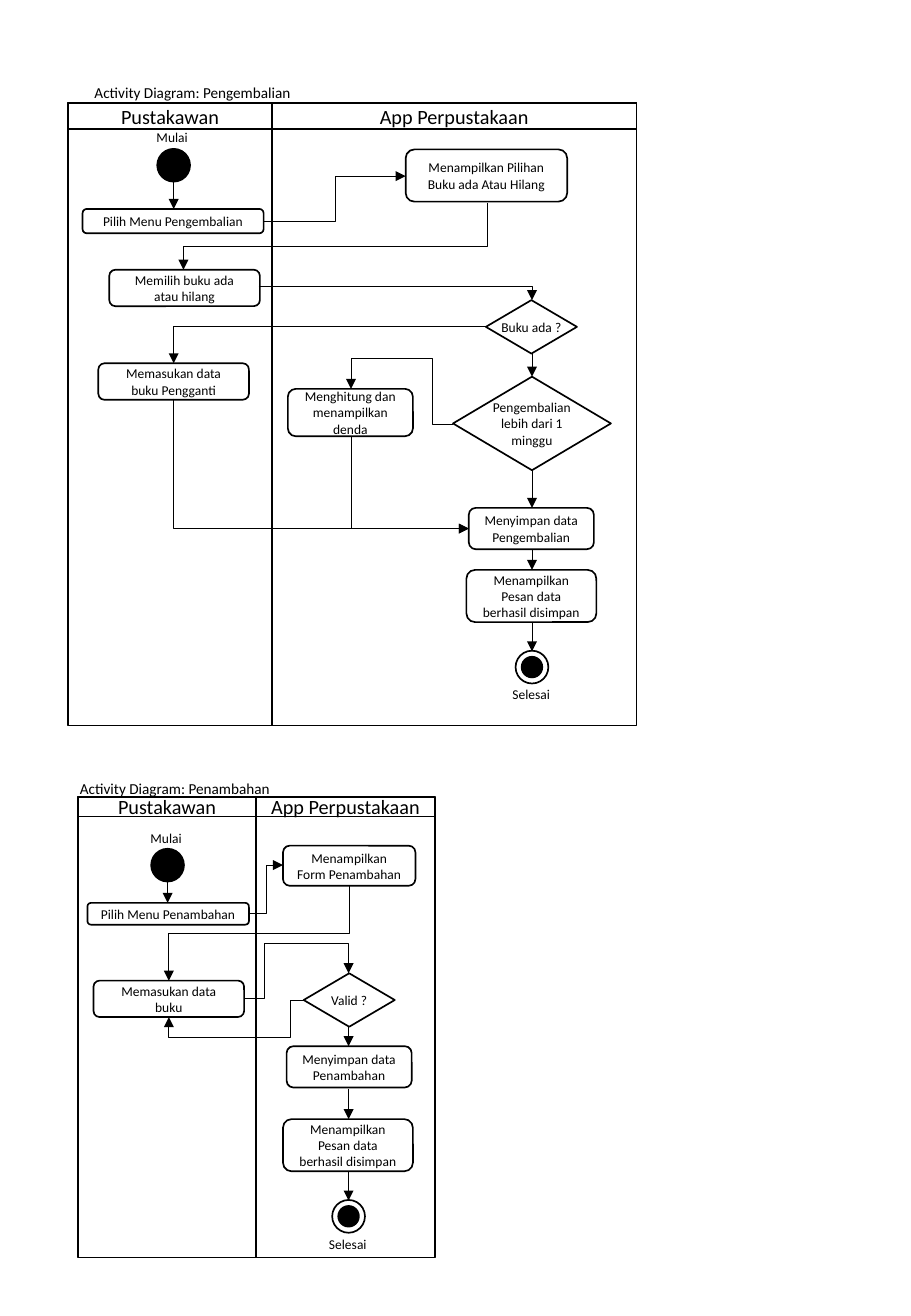
from dataclasses import dataclass

from lxml import etree
from pptx import Presentation
from pptx.dml.color import RGBColor
from pptx.enum.shapes import MSO_CONNECTOR, MSO_SHAPE
from pptx.enum.text import MSO_ANCHOR, MSO_AUTO_SIZE, PP_ALIGN
from pptx.oxml.ns import qn
from pptx.shapes.group import GroupShape
from pptx.shapes.autoshape import Shape
from pptx.text.text import TextFrame
from pptx.util import Inches, Pt

RECT, ROUND = MSO_SHAPE.RECTANGLE, MSO_SHAPE.ROUNDED_RECTANGLE
DIAMOND, OVAL = MSO_SHAPE.DIAMOND, MSO_SHAPE.OVAL
STRAIGHT, ELBOW = MSO_CONNECTOR.STRAIGHT, MSO_CONNECTOR.ELBOW
MIDDLE, CENTER, LEFT = MSO_ANCHOR.MIDDLE, PP_ALIGN.CENTER, PP_ALIGN.LEFT
GROW = MSO_AUTO_SIZE.SHAPE_TO_FIT_TEXT

Point = tuple[float, float]
Box = tuple[float, float, float, float]


@dataclass(frozen=True)
class Theme:
    font: str = "Calibri"
    ink: RGBColor = RGBColor(0, 0, 0)
    paper: RGBColor = RGBColor(255, 255, 255)
    lane_size: float = 12
    title_size: float = 9
    body_size: float = 8
    outline: float = 1
    arrow: float = 0.5


@dataclass(frozen=True)
class Lane:
    name: str
    left: float
    width: float


@dataclass(frozen=True)
class Node:
    text: str
    box: Box
    kind: MSO_SHAPE = ROUND
    wrap: bool = True


@dataclass(frozen=True)
class Diagram:
    title: Node
    top: float
    height: float
    header: float
    lanes: list[Lane]
    start: Point
    start_label: Box
    end: Point
    end_label: Box
    nodes: list[Node]
    routes: list[list[Point]]


THEME = Theme()
DOT, CORE = 0.27, 0.17

PENAMBAHAN = Diagram(
    title=Node("Activity Diagram: Penambahan", (0.56, 6.36, 1.78, 0.25)),
    top=6.56, height=3.79, header=0.16,
    lanes=[Lane("Pustakawan", 0.64, 1.47), Lane("App Perpustakaan", 2.11, 1.47)],
    start=(1.38, 7.12), start_label=(1.14, 6.78, 0.46, 0.24),
    end=(2.87, 10.01), end_label=(2.61, 10.12, 0.52, 0.24),
    nodes=[
        Node("Pilih Menu Penambahan", (0.72, 7.43, 1.33, 0.18)),
        Node("Memasukan data buku", (0.77, 8.07, 1.24, 0.3)),
        Node("Menampilkan Form Penambahan", (2.33, 6.96, 1.09, 0.33)),
        Node("Valid ?", (2.5, 8.01, 0.75, 0.44), DIAMOND, False),
        Node("Menyimpan data Penambahan", (2.36, 8.61, 1.03, 0.34)),
        Node("Menampilkan Pesan data berhasil disimpan", (2.33, 9.21, 1.07, 0.43)),
    ],
    routes=[
        [(1.38, 7.26), (1.38, 7.43)],
        [(2.05, 7.52), (2.19, 7.52), (2.19, 7.12), (2.33, 7.12)],
        [(2.88, 7.29), (2.88, 7.68), (1.39, 7.68), (1.39, 8.07)],
        [(2.5, 8.23), (2.39, 8.23), (2.39, 8.54), (1.39, 8.54), (1.39, 8.37)],
        [(2.01, 8.22), (2.18, 8.22), (2.18, 7.76), (2.87, 7.76), (2.87, 8.01)],
        [(2.87, 8.45), (2.87, 8.61)],
        [(2.87, 8.96), (2.87, 9.21)],
        [(2.87, 9.64), (2.87, 9.88)],
    ],
)

PENGEMBALIAN = Diagram(
    title=Node("Activity Diagram: Pengembalian", (0.68, 0.64, 1.84, 0.25)),
    top=0.85, height=5.12, header=0.21,
    lanes=[Lane("Pustakawan", 0.56, 1.68), Lane("App Perpustakaan", 2.24, 3)],
    start=(1.43, 1.36), start_label=(1.19, 1.01, 0.46, 0.24),
    end=(4.38, 5.49), end_label=(4.12, 5.6, 0.52, 0.24),
    nodes=[
        Node("Pilih Menu Pengembalian", (0.68, 1.72, 1.49, 0.2)),
        Node("Memilih buku ada atau hilang", (0.9, 2.22, 1.24, 0.3)),
        Node("Memasukan data buku Pengganti", (0.81, 2.99, 1.24, 0.3)),
        Node("Menampilkan Pilihan Buku ada Atau Hilang", (3.34, 1.23, 1.33, 0.43)),
        Node("Buku ada ?", (4, 2.47, 0.75, 0.44), DIAMOND, False),
        Node("Pengembalian lebih dari 1 minggu", (3.73, 3.1, 1.3, 0.77), DIAMOND),
        Node("Menghitung dan menampilkan denda", (2.37, 3.2, 1.03, 0.39)),
        Node("Menyimpan data Pengembalian", (3.86, 4.18, 1.03, 0.34)),
        Node("Menampilkan Pesan data berhasil disimpan", (3.84, 4.69, 1.07, 0.43)),
    ],
    routes=[
        [(1.43, 1.49), (1.43, 1.72)],
        [(2.17, 1.82), (2.76, 1.82), (2.76, 1.45), (3.34, 1.45)],
        [(4.01, 1.67), (4.01, 2.03), (1.51, 2.03), (1.51, 2.22)],
        [(2.13, 2.36), (4.38, 2.36), (4.38, 2.47)],
        [(4, 2.69), (1.43, 2.69), (1.43, 2.99)],
        [(4.38, 2.91), (4.38, 3.1)],
        [(3.73, 3.49), (3.56, 3.49), (3.56, 2.95), (2.89, 2.95), (2.89, 3.2)],
        [(1.43, 3.28), (1.43, 4.35), (3.86, 4.35)],
        [(2.89, 3.59), (2.89, 4.35), (3.86, 4.35)],
        [(4.38, 3.87), (4.38, 4.18)],
        [(4.38, 4.53), (4.38, 4.69)],
        [(4.38, 5.12), (4.38, 5.36)],
    ],
)


def write(tf: TextFrame, text: str, size: float, align: PP_ALIGN) -> None:
    tf.text = text
    p = tf.paragraphs[0]
    p.alignment = align
    font = p.runs[0].font
    font.name, font.size, font.color.rgb = THEME.font, Pt(size), THEME.ink


def draw_shape(group: GroupShape, kind: MSO_SHAPE, box: Box, fill: RGBColor | None = None) -> Shape:
    sp = group.shapes.add_shape(kind, *map(Inches, box))
    sp.shadow.inherit = False
    if fill is None:
        sp.fill.background()
    else:
        sp.fill.solid()
        sp.fill.fore_color.rgb = fill
    sp.line.color.rgb, sp.line.width = THEME.ink, Pt(THEME.outline)
    return sp


def draw_node(group: GroupShape, node: Node, size: float = THEME.body_size) -> None:
    tf = draw_shape(group, node.kind, node.box).text_frame
    tf.word_wrap, tf.vertical_anchor = node.wrap, MIDDLE
    if node.kind == DIAMOND:
        tf.margin_left = tf.margin_top = tf.margin_right = tf.margin_bottom = 0
    write(tf, node.text, size, CENTER)


def draw_label(group: GroupShape, text: str, box: Box, size: float = THEME.body_size) -> None:
    tf = group.shapes.add_textbox(*map(Inches, box)).text_frame
    tf.word_wrap, tf.auto_size = False, GROW
    write(tf, text, size, LEFT)


def draw_dot(group: GroupShape, center: Point, size: float, fill: RGBColor) -> None:
    x, y = center
    draw_shape(group, OVAL, (x - size / 2, y - size / 2, size, size), fill)


def draw_route(group: GroupShape, route: list[Point]) -> None:
    first, last = complex(*route[0]), complex(*route[-1])
    middle, half = (first + last) / 2, (last - first) / 2
    bends = len(route) - 2
    vertical = route[0][0] == route[1][0]
    quarter = 0
    if bends:
        quarter = (1 if half.real <= 0 else 3) if vertical else (0 if half.real >= 0 else 2)
    local = half * (-1j) ** quarter
    a, b = middle - local, middle + local
    c = group.shapes.add_connector(ELBOW if bends else STRAIGHT, *map(Inches, (a.real, a.imag, b.real, b.imag)))
    c.line.color.rgb, c.line.width = THEME.ink, Pt(THEME.arrow)
    spPr = c.element.spPr
    etree.SubElement(spPr.find(qn("a:ln")), qn("a:tailEnd"), type="triangle")
    etree.SubElement(spPr, qn("a:effectLst"))
    if not bends:
        return
    spPr.find(qn("a:xfrm")).set("rot", str(quarter * 5400000))
    geom = spPr.find(qn("a:prstGeom"))
    geom.set("prst", f"bentConnector{bends + 1}")
    for i in range(1, bends):
        axis = (i + 1 + vertical) % 2
        ratio = (route[i][axis] - route[0][axis]) / (route[-1][axis] - route[0][axis])
        etree.SubElement(geom.find(qn("a:avLst")), qn("a:gd"), name=f"adj{i}", fmla=f"val {round(ratio * 100000)}")


def draw_diagram(group: GroupShape, d: Diagram) -> None:
    for lane in d.lanes:
        draw_shape(group, RECT, (lane.left, d.top, lane.width, d.height))
        draw_node(group, Node(lane.name, (lane.left, d.top, lane.width, d.header), RECT), THEME.lane_size)
    draw_label(group, d.title.text, d.title.box, THEME.title_size)
    draw_dot(group, d.start, DOT, THEME.ink)
    draw_label(group, "Mulai", d.start_label)
    draw_dot(group, d.end, DOT, THEME.paper)
    draw_dot(group, d.end, CORE, THEME.ink)
    draw_label(group, "Selesai", d.end_label)
    for node in d.nodes:
        draw_node(group, node)
    for route in d.routes:
        draw_route(group, route)


def main() -> None:
    prs = Presentation()
    prs.slide_width, prs.slide_height = Inches(7.5), Inches(10.83)
    s = prs.slides.add_slide(prs.slide_layouts[6])
    for diagram in (PENAMBAHAN, PENGEMBALIAN):
        draw_diagram(s.shapes.add_group_shape(), diagram)
    prs.save("out.pptx")


if __name__ == "__main__":
    main()
